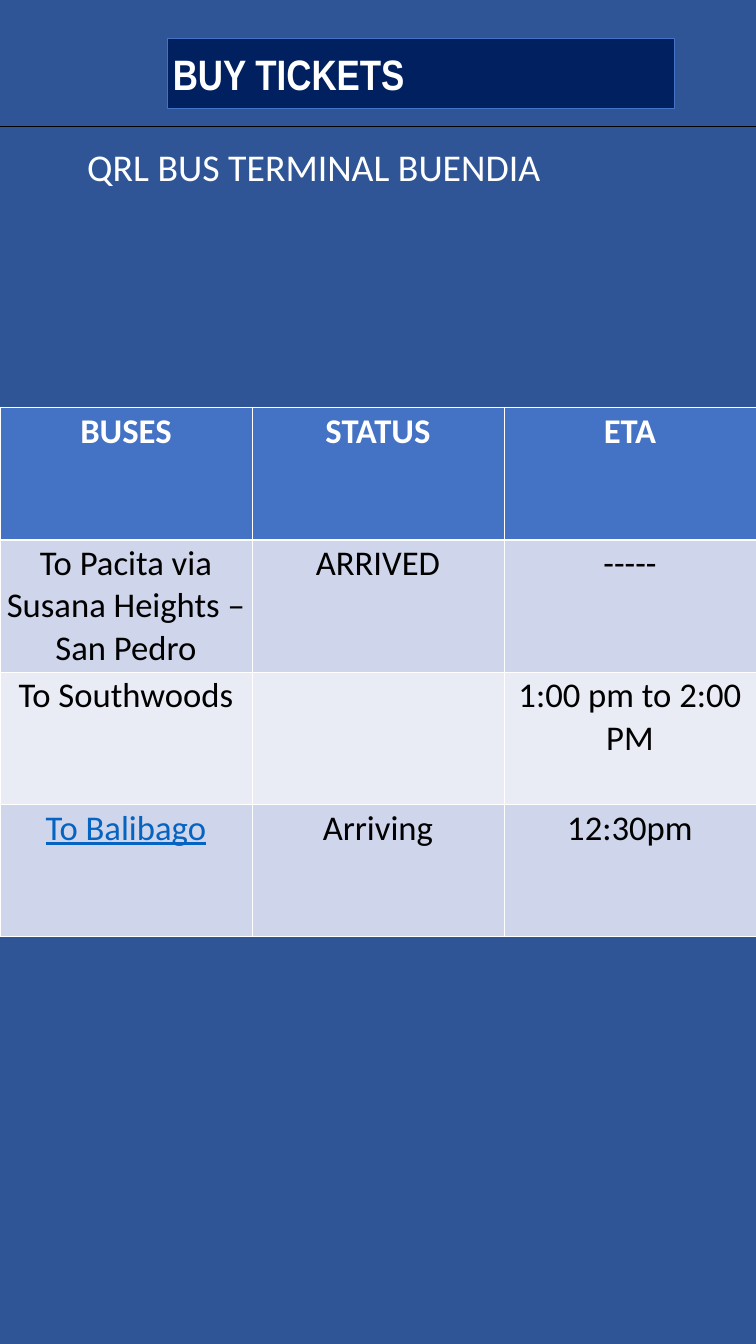
from pptx import Presentation
from pptx import util as u
from pptx.dml.color import RGBColor
from pptx.enum import shapes, text
from pptx.oxml.ns import qn
from lxml import etree

WIDE, HIGH = 13.33, 23.7
WHITE, BLACK, BLUE, LINK = "FFFFFF", "000000", "4472C4", "0563C1"
BANDS = ["CFD5EA", "E9EBF5"]
ROWS = [
    ["BUSES", "STATUS", "ETA"],
    ["To Pacita via Susana Heights – San Pedro", "ARRIVED", "-----"],
    ["To Southwoods", "", "1:00 pm to 2:00 PM"],
    ["To Balibago", "Arriving", "12:30pm"],
]


def box(x, y, w, h):
    """Turn shares of the slide's size into lengths."""
    return [u.Inches(n) for n in (x * WIDE, y * HIGH, w * WIDE, h * HIGH)]


def paint(fill, tint):
    fill.solid()
    fill.fore_color.rgb = RGBColor.from_string(tint)


def write(frame, words, size, tint, font="Calibri", bold=False, align=text.PP_ALIGN.LEFT):
    para = frame.paragraphs[0]
    para.alignment = align
    run = para.add_run()
    run.text = words
    run.font.name, run.font.size, run.font.bold = font, u.Pt(size), bold
    run.font.color.rgb = RGBColor.from_string(tint)
    return run


def add_title(slide, words):
    title = slide.shapes.title
    title.left, title.top, title.width, title.height = box(0.221, 0.0287, 0.671, 0.0519)
    paint(title.fill, "002060")
    paint(title.line.fill, BLUE)
    title.line.width = u.Pt(1)
    frame = title.text_frame
    frame.auto_size = text.MSO_AUTO_SIZE.NONE
    frame.vertical_anchor = text.MSO_ANCHOR.MIDDLE
    write(frame, words, 54, WHITE, "Arial Narrow", True)


def add_label(slide, words):
    frame = slide.shapes.add_textbox(*box(0.108, 0.1046, 0.767, 0.0384)).text_frame
    frame.word_wrap = True
    write(frame, words, 48, WHITE)


def add_rule(slide, y):
    left, top, width, _ = box(0, y, 1, 0)
    rule = slide.shapes.add_connector(shapes.MSO_CONNECTOR.STRAIGHT, left, top, left + width, top)
    paint(rule.line.fill, BLACK)
    rule.line.width = u.Pt(0.5)
    etree.SubElement(rule.element.spPr, qn("a:effectLst"))


def edge(cell, side, width):
    props = cell._tc.get_or_add_tcPr()
    line = etree.SubElement(props, qn("a:ln" + side), w=str(u.Pt(width)))
    fill = etree.SubElement(line, qn("a:solidFill"))
    etree.SubElement(fill, qn("a:srgbClr"), val=WHITE)


def add_grid(slide, rows):
    place = box(0, 0.303, 1, 0.394)
    table = slide.shapes.add_table(len(rows), len(rows[0]), *place).table
    for r, row in enumerate(rows):
        head = r == 0
        for c, words in enumerate(row):
            cell = table.cell(r, c)
            # The rule under the header is thicker
            for side in "LRTB":
                thick = (side, r) in (("B", 0), ("T", 1))
                edge(cell, side, 3 if thick else 1)
            paint(cell.fill, BLUE if head else BANDS[(r - 1) % 2])
            if words:
                link = words == "To Balibago"
                tint = WHITE if head else LINK if link else BLACK
                run = write(cell.text_frame, words, 44, tint, bold=head,
                            align=text.PP_ALIGN.CENTER)
                run.font.underline = link


def main():
    deck = Presentation()
    deck.slide_width, deck.slide_height = u.Inches(WIDE), u.Inches(HIGH)
    slide = deck.slides.add_slide(deck.slide_layouts[5])
    paint(slide.background.fill, "2F5597")
    # Header
    add_title(slide, "BUY TICKETS")
    add_label(slide, "QRL BUS TERMINAL BUENDIA")
    add_rule(slide, 0.094)
    # Timetable
    add_grid(slide, ROWS)
    deck.save("out.pptx")


if __name__ == "__main__":
    main()
